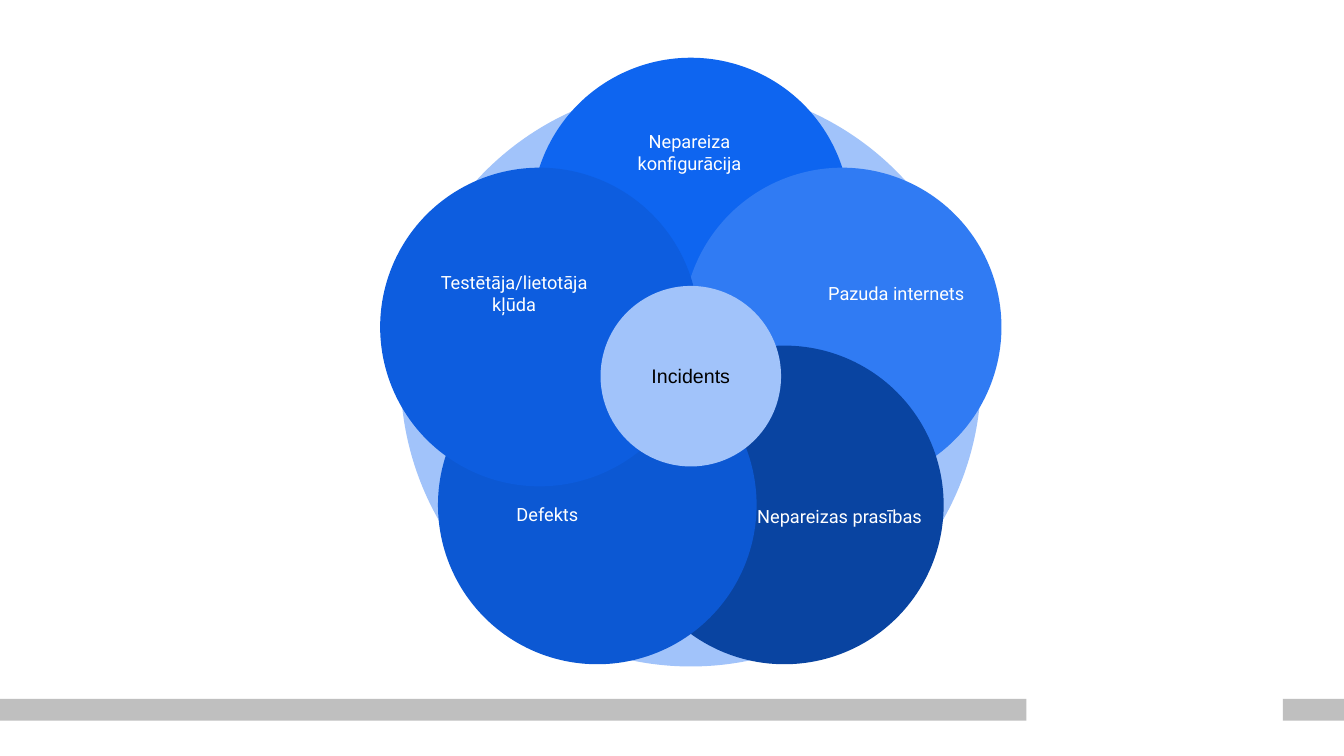
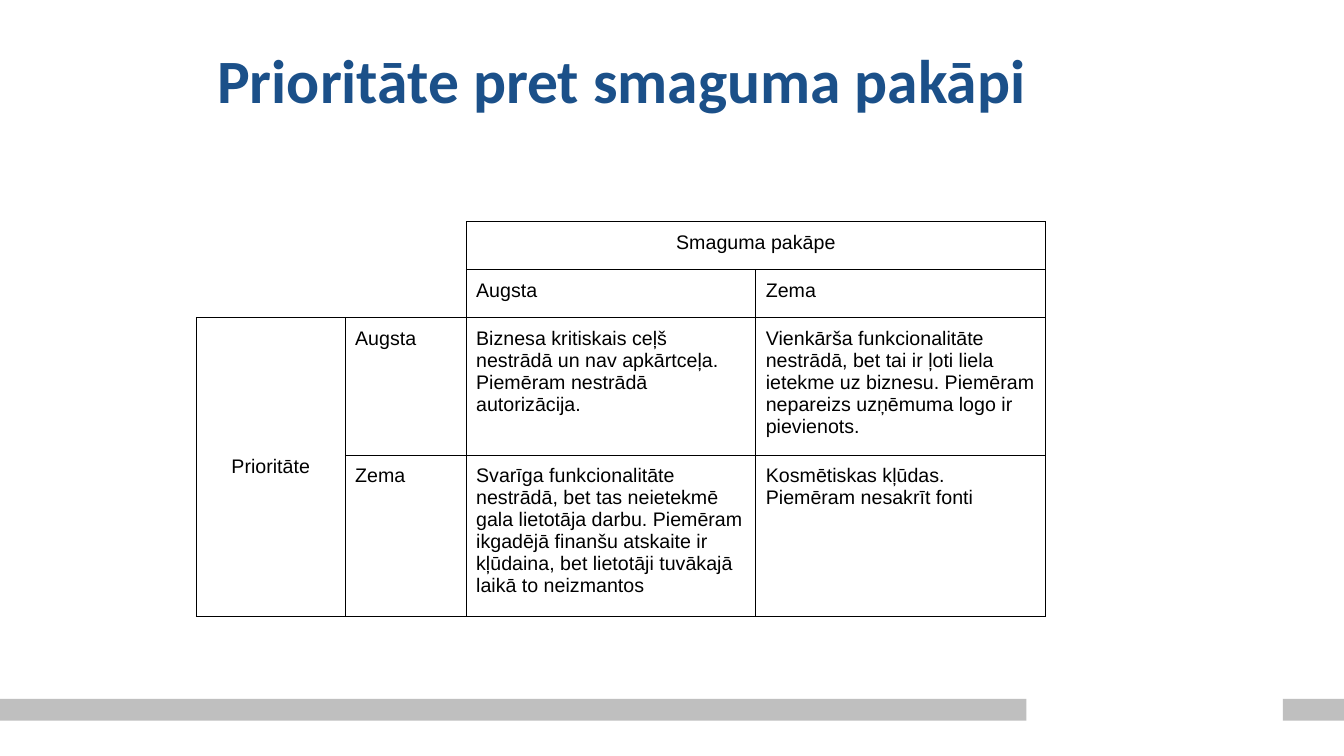
from math import cos, radians, sin
from lxml import etree
from pptx import Presentation, util as u
from pptx.dml.color import RGBColor
from pptx.enum import shapes as kind, text as te
from pptx.oxml.ns import qn

Cm = u.Cm
BLACK, WHITE, GREY, NAVY, PALE = "000000", "FFFFFF", "BFBFBF", "1B5089", "A1C3FA"


def paint(part, shade):
    part.fill.solid()
    part.fill.fore_color.rgb = RGBColor.from_string(shade)
    part.line.fill.background()
    part.shadow.inherit = False
    return part


def write(frame, words, size, face, shade, pad, mid=True):
    frame.word_wrap = True
    frame.vertical_anchor = te.MSO_ANCHOR.MIDDLE if mid else te.MSO_ANCHOR.TOP
    frame.margin_left = frame.margin_right = Cm(pad[0])
    frame.margin_top = frame.margin_bottom = Cm(pad[1])
    para = frame.paragraphs[0]
    para.alignment = te.PP_ALIGN.CENTER if mid else te.PP_ALIGN.LEFT
    run = para.add_run()
    run.text = words
    run.font.size = u.Pt(size)
    run.font.name = face
    run.font.color.rgb = RGBColor.from_string(shade)
    return para


deck = Presentation()
deck.slide_width, deck.slide_height = Cm(33.87), Cm(19.05)
blank = deck.slide_layouts[6]
RECT, OVAL = kind.MSO_SHAPE.RECTANGLE, kind.MSO_SHAPE.OVAL

wheel = deck.slides.add_slide(blank)
for left, wide in ((0, 25.87), (32.33, 1.54)):
    band = paint(wheel.shapes.add_shape(RECT, Cm(left), Cm(17.61), Cm(wide), Cm(0.55)), GREY)
    blank.element.cSld.spTree.append(band.element)

midx, midy = 17.41, 9.48
ring, petal, hub = 14.63, 8.03, 4.55
reach = 4.01
paint(wheel.shapes.add_shape(OVAL, Cm(midx - ring / 2), Cm(midy - ring / 2),
                             Cm(ring), Cm(ring)), PALE)
causes = [
    ("Nepareiza konfigurācija", "0E65F0", 14.91, 2.62),
    ("Pazuda internets", "307BF3", 20.12, 6.17),
    ("Nepareizas prasības", "0944A1", 18.69, 11.79),
    ("Defekts", "0C58D3", 11.33, 11.73),
    ("Testētāja/lietotāja kļūda", "0D5DDF", 10.49, 6.17),
]
for step, (words, shade, left, top) in enumerate(causes):
    turn = radians(72 * step - 90)
    x = midx + reach * cos(turn) - petal / 2
    y = midy + reach * sin(turn) - petal / 2
    group = wheel.shapes.add_group_shape()
    paint(group.shapes.add_shape(OVAL, Cm(x), Cm(y), Cm(petal), Cm(petal)), shade)
    box = group.shapes.add_textbox(Cm(left), Cm(top), Cm(4.93), Cm(2.44))
    write(box.text_frame, words, 13, "Roboto", WHITE, (0.32, 0.32))
core = paint(wheel.shapes.add_shape(OVAL, Cm(midx - hub / 2), Cm(midy - hub / 2),
                                    Cm(hub), Cm(hub)), PALE)
write(core.text_frame, "Incidents", 14, "Arial", BLACK, (0.32, 0.32))

page = deck.slides.add_slide(blank)
box = page.shapes.add_textbox(Cm(1.07), Cm(1.02), Cm(29.21), Cm(2.16))
title = write(box.text_frame, "Prioritāte pret smaguma pakāpi", 44, "Calibri", NAVY, (0.25, 0.13))
title.line_spacing = 0.9
title.runs[0].font.bold = True

cols = [3.75, 3.05, 7.3, 7.3]
rows = [1.21, 1.21, 1.21, 3.3, 3.85]
cells = {
    (1, 2): "Smaguma pakāpe",
    (2, 2): "Augsta",
    (2, 3): "Zema",
    (3, 0): "Prioritāte",
    (3, 1): "Augsta",
    (3, 2): "Biznesa kritiskais ceļš nestrādā un nav apkārtceļa. Piemēram nestrādā autorizācija.",
    (3, 3): "Vienkārša funkcionalitāte nestrādā, bet tai ir ļoti liela ietekme uz biznesu. "
            "Piemēram nepareizs uzņēmuma logo ir pievienots.",
    (4, 1): "Zema",
    (4, 2): "Svarīga funkcionalitāte nestrādā, bet tas neietekmē gala lietotāja darbu. "
            "Piemēram ikgadējā finanšu atskaite ir kļūdaina, bet lietotāji tuvākajā laikā to neizmantos",
    (4, 3): "Kosmētiskas kļūdas. Piemēram nesakrīt fonti",
}
heads = [(1, 2), (3, 0)]
boxed = set(cells) | {(1, 3), (4, 0)}
sides = {"L": (0, -1), "R": (0, 1), "T": (-1, 0), "B": (1, 0)}

grid = page.shapes.add_table(len(rows), len(cols), Cm(4.95), Cm(4.37),
                             Cm(sum(cols)), Cm(sum(rows))).table
grid.first_row = grid.horz_banding = False
for col, wide in zip(grid.columns, cols):
    col.width = Cm(wide)
for row, tall in zip(grid.rows, rows):
    row.height = Cm(tall)
for r in range(len(rows)):
    for c in range(len(cols)):
        cell = grid.cell(r, c)
        props = cell._tc.get_or_add_tcPr()
        for side, (down, over) in sides.items():
            edge = etree.SubElement(props, qn("a:ln" + side), w=str(u.Pt(0.75)))
            if boxed & {(r, c), (r + down, c + over)}:
                fill = etree.SubElement(edge, qn("a:solidFill"))
                etree.SubElement(fill, qn("a:srgbClr"), val=BLACK)
            else:
                etree.SubElement(edge, qn("a:noFill"))
        cell.fill.background()
        if (r, c) in cells:
            mid = (r, c) in heads
            write(cell.text_frame, cells[r, c], 14, "Arial", BLACK, (0.25, 0.25), mid)
            cell.vertical_anchor = te.MSO_ANCHOR.MIDDLE if (r, c) == (3, 0) else te.MSO_ANCHOR.TOP
            cell.margin_left = cell.margin_right = Cm(0.25)
            cell.margin_top = cell.margin_bottom = Cm(0.25)
for start, end in (((0, 1), (0, 3)), ((1, 2), (1, 3)), ((3, 0), (4, 0))):
    grid.cell(*start).merge(grid.cell(*end))

deck.save("out.pptx")
